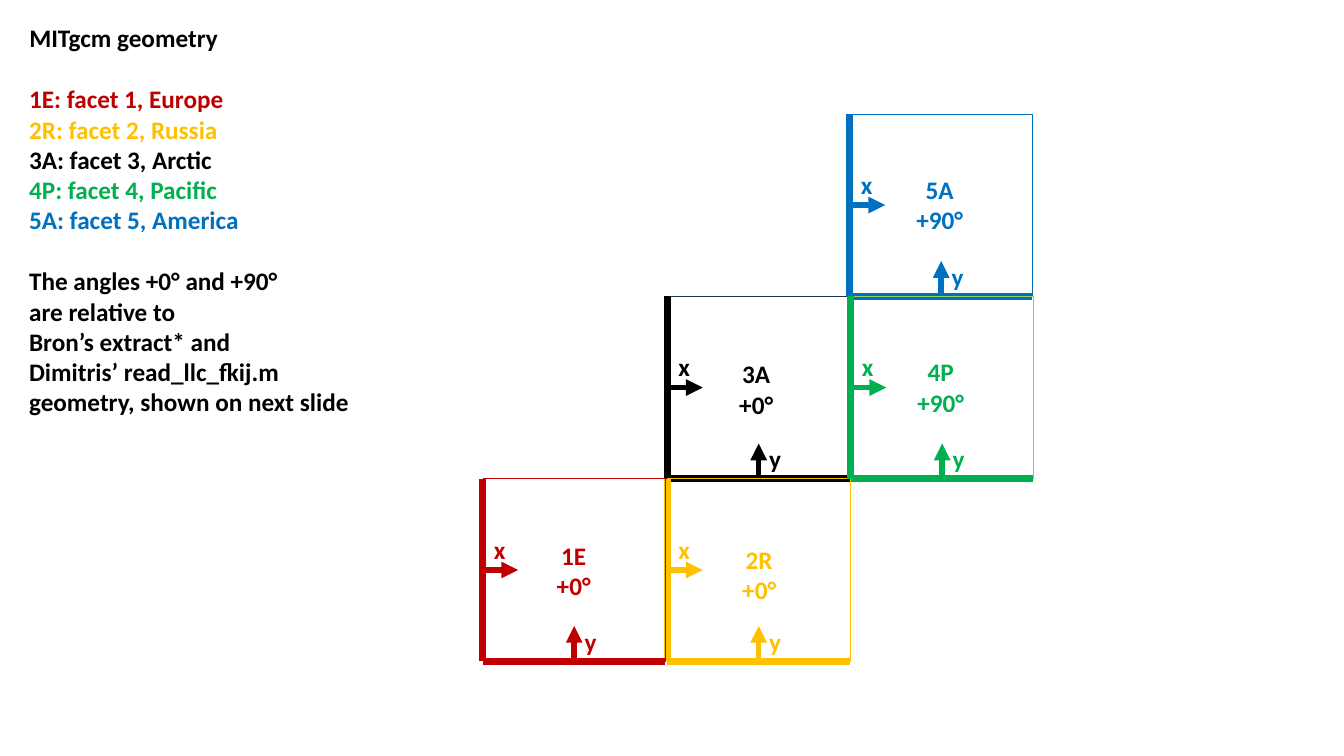
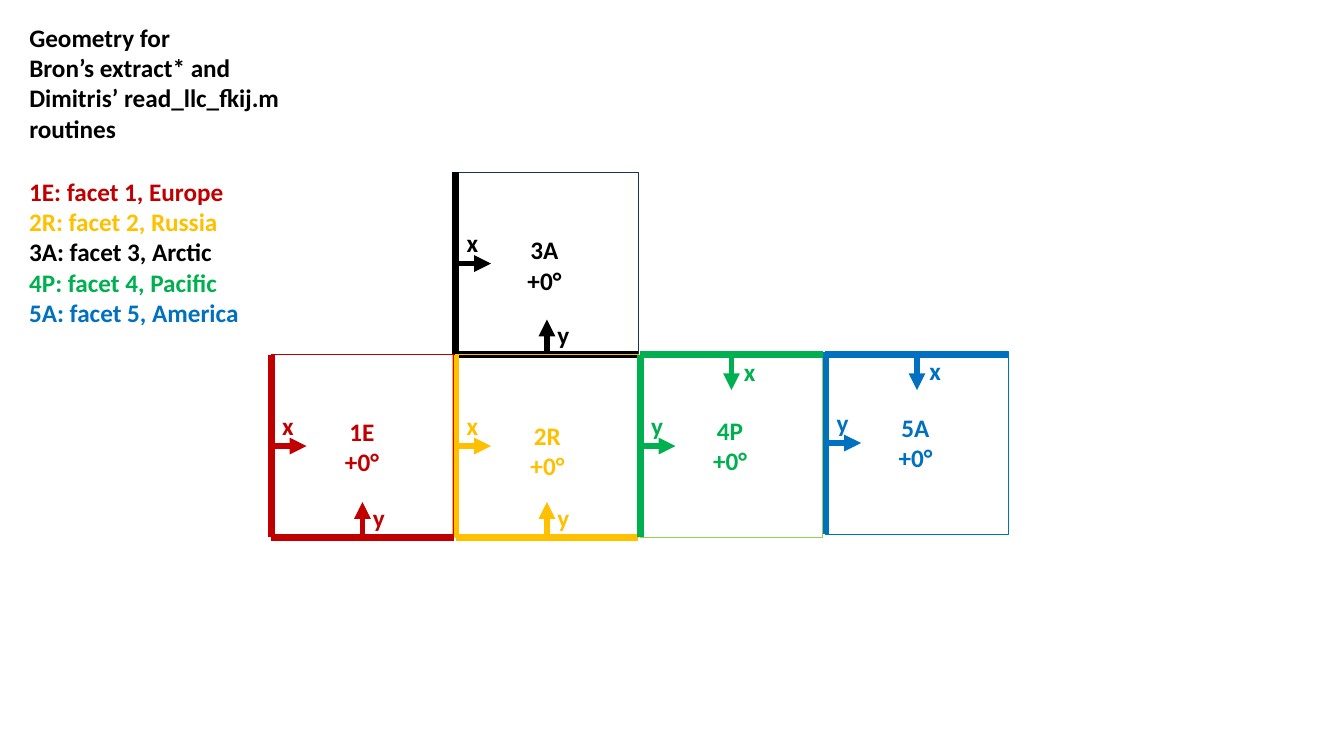
from dataclasses import dataclass
from typing import Any, Optional

import pptx
import pptx.dml.color
import pptx.enum.shapes
import pptx.enum.text
import pptx.oxml
import pptx.oxml.ns
import pptx.util
from lxml import etree

PP_ALIGN = pptx.enum.text.PP_ALIGN
AUTO_SIZE = pptx.enum.text.MSO_AUTO_SIZE


@dataclass(frozen=True)
class Theme:
    font: str = "Calibri"
    size: float = 18
    text: str = "000000"
    outline: float = 0.5
    edge: float = 5
    arrow: float = 4
    line_height: float = 22


@dataclass(frozen=True)
class Facet:
    code: str
    name: str
    color: str
    outline: str
    label_center: float
    label_top: float


@dataclass(frozen=True)
class Place:
    facet: str
    col: int
    row: int
    angle: str = "+0°"
    dx: float = 0
    dy: float = 0
    flipped: bool = False


@dataclass(frozen=True)
class Grid:
    left: float
    top: float
    pitch: float = 1.83
    cell: float = 1.81


@dataclass(frozen=True)
class Page:
    title: tuple[str, ...]
    notes: tuple[str, ...]
    grid: Grid
    places: tuple[Place, ...]


THEME = Theme()
WIDTH, HEIGHT = 13.33, 7.5
TEXT_LEFT, TEXT_TOP, TEXT_WIDTH = 0.19, 0.17, 3.39
ARROW_LENGTH = 0.35
ROUTINES = ("Bron’s extract* and", "Dimitris’ read_llc_fkij.m")

FACETS = {
    f.code: f
    for f in (
        Facet("1E", "Europe", "C00000", "C00000", 0.9, 0.56),
        Facet("2R", "Russia", "FFC000", "FFC000", 0.91, 0.6),
        Facet("3A", "Arctic", "000000", "1E3256", 0.88, 0.57),
        Facet("4P", "Pacific", "00B050", "92D050", 0.89, 0.55),
        Facet("5A", "America", "0070C0", "0070C0", 0.89, 0.55),
    )
}

PAGES = (
    Page(
        ("MITgcm geometry",),
        ("The angles +0° and +90°", "are relative to", *ROUTINES,
         "geometry, shown on next slide"),
        Grid(4.79, 1.13),
        (
            Place("3A", 1, 1),
            Place("2R", 1, 2),
            Place("1E", 0, 2),
            Place("5A", 2, 0, "+90°", dx=-0.02),
            Place("4P", 2, 1, "+90°", dx=-0.01),
        ),
    ),
    Page(
        ("Geometry for", *ROUTINES, "routines"),
        (),
        Grid(2.69, 1.71),
        (
            Place("3A", 1, 0),
            Place("2R", 1, 1),
            Place("1E", 0, 1),
            Place("5A", 3, 1, dx=0.01, dy=-0.03, flipped=True),
            Place("4P", 2, 1, flipped=True),
        ),
    ),
)


def inches(*lengths: float) -> list[int]:
    return [pptx.util.Inches(v) for v in lengths]


def rgb(color: str) -> Any:
    return pptx.dml.color.RGBColor.from_string(color)


def assign(obj: Any, values: dict[str, Any]) -> None:
    for key, value in values.items():
        setattr(obj, key, value)


def write(tf: Any, lines: list[tuple[str, str]], align: Any = PP_ALIGN.LEFT,
          gap_at: Optional[int] = None) -> None:
    for i, (text, color) in enumerate(lines):
        p = tf.paragraphs[0] if i == 0 else tf.add_paragraph()
        p.alignment = align
        if i == gap_at:
            p.space_before = pptx.util.Pt(THEME.line_height)
        r = p.add_run()
        r.text = text
        assign(r.font, {"name": THEME.font, "size": pptx.util.Pt(THEME.size), "bold": True})
        r.font.color.rgb = rgb(color)


def add_text(s: Any, box: tuple[float, ...], lines: list[tuple[str, str]],
             align: Any = PP_ALIGN.LEFT, gap_at: Optional[int] = None) -> None:
    tf = s.shapes.add_textbox(*inches(*box)).text_frame
    assign(tf, {"word_wrap": False, "auto_size": AUTO_SIZE.SHAPE_TO_FIT_TEXT})
    write(tf, lines, align, gap_at)


def add_line(s: Any, ends: tuple[float, ...], color: str, width: float,
             arrow: bool = False) -> None:
    c = s.shapes.add_connector(pptx.enum.shapes.MSO_CONNECTOR.STRAIGHT, *inches(*ends))
    c.line.color.rgb = rgb(color)
    c.line.width = pptx.util.Pt(width)
    qn = pptx.oxml.ns.qn
    sp_pr = c.element.spPr
    if arrow:
        etree.SubElement(sp_pr.find(qn("a:ln")), qn("a:tailEnd"), type="triangle")
    etree.SubElement(sp_pr, qn("a:effectLst"))


def corner(grid: Grid, place: Place) -> tuple[float, float]:
    return (grid.left + place.col * grid.pitch + place.dx,
            grid.top + place.row * grid.cell + place.dy)


def add_facet(s: Any, grid: Grid, place: Place) -> None:
    facet, cell = FACETS[place.facet], grid.cell
    x, y = corner(grid, place)
    sp = s.shapes.add_shape(pptx.enum.shapes.MSO_SHAPE.RECTANGLE, *inches(x, y, cell, cell))
    sp.shadow.inherit = False
    sp.fill.background()
    sp.line.color.rgb = rgb(facet.outline)
    sp.line.width = pptx.util.Pt(THEME.outline)

    mid_x, mid_y = x + cell / 2, y + cell / 2
    base = y - place.dy if place.flipped else y + cell
    tip = base + (ARROW_LENGTH if place.flipped else -ARROW_LENGTH)
    add_line(s, (x, y + cell, x, y), facet.color, THEME.edge)
    add_line(s, (x, mid_y, x + ARROW_LENGTH, mid_y), facet.color, THEME.arrow, True)
    add_line(s, (mid_x, base, mid_x, tip), facet.color, THEME.arrow, True)
    add_line(s, (x, base, x + cell, base), facet.color, THEME.edge)


def add_labels(s: Any, grid: Grid, place: Place) -> None:
    facet = FACETS[place.facet]
    x, y = corner(grid, place)
    side, end = ("y", "x") if place.flipped else ("x", "y")
    end_x, end_y = (0.93, -0.03 - place.dy / 2) if place.flipped else (0.91, 1.41)
    for text, dx, dy in ((side, 0.01, 0.5), (end, end_x, end_y)):
        add_text(s, (x + dx, y + dy, 0.32, 0.4), [(text, facet.color)])
    width = 0.12 + 0.14 * len(place.angle)
    add_text(s, (x + facet.label_center - width / 2, y + facet.label_top, width, 0.71),
             [(t, facet.color) for t in (facet.code, place.angle)], PP_ALIGN.CENTER)


def add_heading(s: Any, page: Page) -> None:
    line = THEME.line_height / 72
    title = s.shapes.title
    left, top, width, height = inches(TEXT_LEFT, TEXT_TOP, TEXT_WIDTH,
                                      0.1 + line * len(page.title))
    assign(title, {"left": left, "top": top, "width": width, "height": height})
    tf = title.text_frame
    assign(tf, {"word_wrap": False, "auto_size": AUTO_SIZE.NONE,
                "vertical_anchor": pptx.enum.text.MSO_ANCHOR.TOP})
    write(tf, [(t, THEME.text) for t in page.title])

    legend = [(f"{f.code}: facet {n}, {f.name}", f.color)
              for n, f in enumerate(FACETS.values(), 1)]
    lines = legend + [(t, THEME.text) for t in page.notes]
    rows = len(lines) + bool(page.notes)
    add_text(s, (TEXT_LEFT, TEXT_TOP + line * (len(page.title) + 1),
                 TEXT_WIDTH, 0.1 + line * rows), lines, gap_at=len(legend))


def main() -> None:
    prs = pptx.Presentation()
    prs.slide_width, prs.slide_height = inches(WIDTH, HEIGHT)
    layout = prs.slide_layouts.get_by_name("Title Only")
    for page in PAGES:
        s = prs.slides.add_slide(layout)
        add_heading(s, page)
        for draw in (add_facet, add_labels):
            for place in page.places:
                draw(s, page.grid, place)
    prs.save("out.pptx")


if __name__ == "__main__":
    main()
